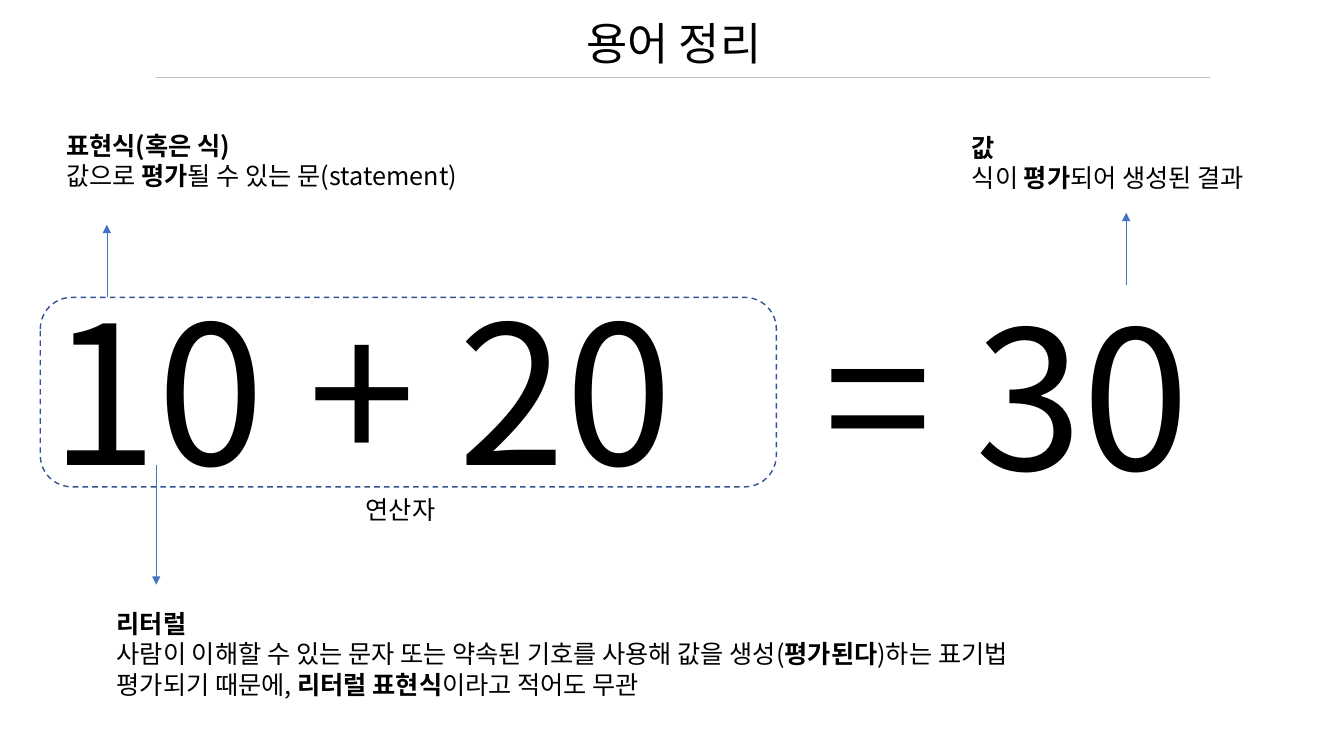
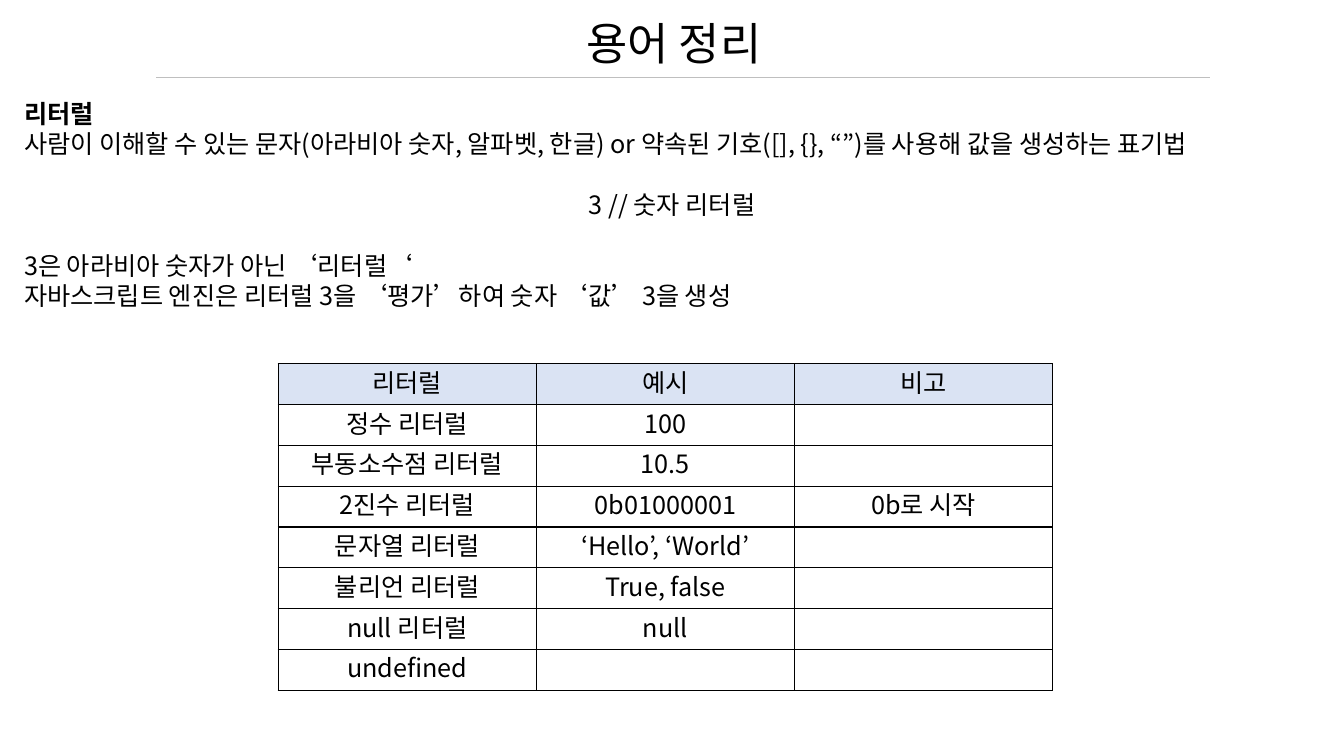
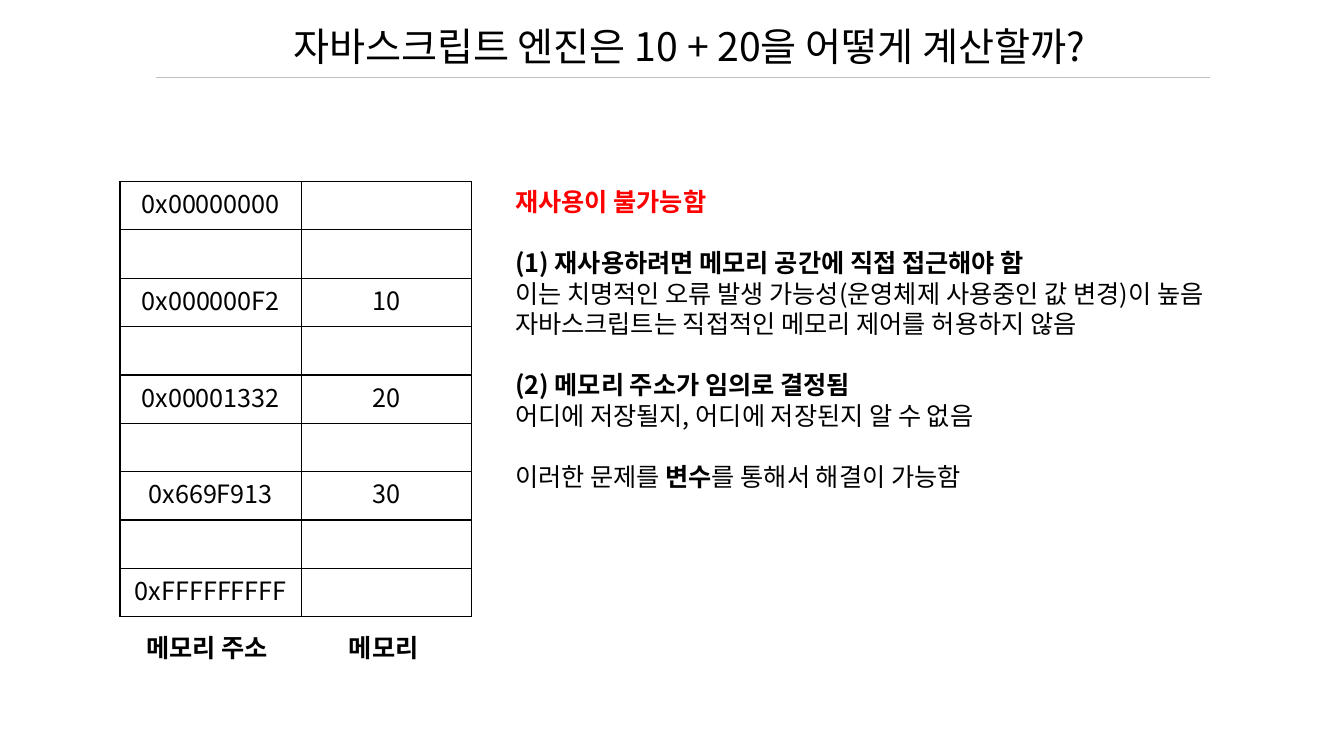
from dataclasses import dataclass

from lxml import etree
from pptx import Presentation
from pptx.dml.color import RGBColor
from pptx.enum.dml import MSO_LINE
from pptx.enum.shapes import MSO_CONNECTOR, MSO_SHAPE
from pptx.enum.text import MSO_ANCHOR, MSO_AUTO_SIZE, PP_ALIGN
from pptx.oxml.ns import qn
from pptx.util import Inches, Pt

LEFT, CENTER = PP_ALIGN.LEFT, PP_ALIGN.CENTER
TOP, MIDDLE = MSO_ANCHOR.TOP, MSO_ANCHOR.MIDDLE
DASH = MSO_LINE.DASH
STRAIGHT = MSO_CONNECTOR.STRAIGHT
ROUNDED = MSO_SHAPE.ROUNDED_RECTANGLE
FIT_SHAPE = MSO_AUTO_SIZE.SHAPE_TO_FIT_TEXT


@dataclass(frozen=True)
class Theme:
    font: str = "Noto Sans CJK KR"
    ink: str = "000000"
    paper: str = "FFFFFF"
    alert: str = "FF0000"
    rule: str = "BFBFBF"
    arrow: str = "4472C4"
    frame: str = "325491"
    header: str = "DAE3F3"
    body: int = 18
    title: int = 32
    long_title: int = 28
    formula: int = 138
    leading: float = 1.21
    thin: float = 0.5
    border: float = 1


THEME = Theme()
TITLE_ONLY = 5

# Content: text between ** marks is bold
TERMS_TITLE = "용어 정리"
TITLE_BOX = (1.37, 0.1, 10.63, 0.64)
ENGINE_TITLE = "자바스크립트 엔진은 10 + 20을 어떻게 계산할까?"
ENGINE_TITLE_BOX = (1.67, 0.17, 10.33, 0.57)
RULE = (1.55, 0.77, 12, 0.77)

FORMULA_PARTS = [
    ((0.4, 2.63, 7.59, 2.42), "10 + 20"),
    ((8.08, 2.68, 4.71, 2.42), "= 30"),
]
EXPRESSION_FRAME = (0.4, 2.95, 7.3, 1.88)
TERMS = [
    ((0.56, 1.24, 8.43, 0.71),
     ["**표현식(혹은 식)**", "값으로 **평가**될 수 있는 문(statement)"]),
    ((9.54, 1.26, 3.79, 0.71),
     ["**값**", "식이 **평가**되어 생성된 결과"]),
    ((3.53, 4.85, 1.04, 0.4), ["연산자"]),
    ((1.06, 5.98, 10.8, 1.01),
     ["**리터럴**",
      "사람이 이해할 수 있는 문자 또는 약속된 기호를 사용해 값을 생성(**평가된다**)하는 표기법",
      "평가되기 때문에, **리터럴 표현식**이라고 적어도 무관"]),
]
TERM_ARROWS = [
    (1.06, 2.95, 1.06, 2.23),
    (11.17, 2.83, 11.17, 2.11),
    (1.55, 4.61, 1.55, 5.8),
]

LITERAL_BOX = (0.14, 0.92, 13.05, 2.83)
LITERAL_TEXT = [
    "**리터럴**",
    "사람이 이해할 수 있는 문자(아라비아 숫자, 알파벳, 한글) or 약속된 기호([], {}, “”)를 사용해 값을 생성하는 표기법",
    {"text": "3 // 숫자 리터럴", "align": CENTER, "gap": True},
    {"text": "3은 아라비아 숫자가 아닌 ‘리터럴‘", "gap": True},
    "자바스크립트 엔진은 리터럴 3을 ‘평가’하여 숫자 ‘값’ 3을 생성",
]
LITERAL_TABLE = (2.76, 3.61, 7.68, 3.24)
LITERAL_COLUMNS = (2.56, 2.56, 2.56)
LITERAL_ROWS = [
    ("리터럴", "예시", "비고"),
    ("정수 리터럴", "100", ""),
    ("부동소수점 리터럴", "10.5", ""),
    ("2진수 리터럴", "0b01000001", "0b로 시작"),
    ("문자열 리터럴", "‘Hello’, ‘World’", ""),
    ("불리언 리터럴", "True, false", ""),
    ("null 리터럴", "null", ""),
    ("undefined", "", ""),
]

MEMORY_TABLE = (1.19, 1.8, 3.5, 4.32)
MEMORY_COLUMNS = (1.8, 1.69)
MEMORY_ROWS = [
    ("0x00000000", ""),
    ("", ""),
    ("0x000000F2", "10"),
    ("", ""),
    ("0x00001332", "20"),
    ("", ""),
    ("0x669F913", "30"),
    ("", ""),
    ("0xFFFFFFFFF", ""),
]
MEMORY_LABELS = [
    ((1.35, 6.22, 1.55, 0.41), ["**메모리 주소**"]),
    ((3.03, 6.22, 1.55, 0.41), [{"text": "**메모리**", "align": CENTER}]),
]
REUSE_BOX = (5.01, 1.8, 8.04, 3.13)
REUSE_TEXT = [
    {"text": "**재사용이 불가능함**", "color": THEME.alert},
    {"text": "**(1) 재사용하려면 메모리 공간에 직접 접근해야 함**", "gap": True},
    "이는 치명적인 오류 발생 가능성(운영체제 사용중인 값 변경)이 높음",
    "자바스크립트는 직접적인 메모리 제어를 허용하지 않음",
    {"text": "**(2) 메모리 주소가 임의로 결정됨**", "gap": True},
    "어디에 저장될지, 어디에 저장된지 알 수 없음",
    {"text": "이러한 문제를 **변수**를 통해서 해결이 가능함", "gap": True},
]


# Text
def write_paragraph(paragraph, text, size=THEME.body, align=LEFT,
                    color=THEME.ink, gap=False):
    line_height = Pt(size * THEME.leading)
    paragraph.alignment = align
    paragraph.line_spacing = line_height
    paragraph.space_before = line_height if gap else Pt(0)
    font = paragraph.font
    font.name = THEME.font
    font.size = Pt(size)
    font.color.rgb = RGBColor.from_string(color)
    defaults = paragraph._p.get_or_add_pPr().find(qn("a:defRPr"))
    east_asian = etree.SubElement(defaults, qn("a:ea"))
    east_asian.set("typeface", THEME.font)
    for index, part in enumerate(text.split("**")):
        if part:
            run = paragraph.add_run()
            run.text = part
            if index % 2:
                run.font.bold = True


def fill_frame(frame, paragraphs, **style):
    frame.word_wrap = True
    frame.auto_size = FIT_SHAPE
    frame.vertical_anchor = TOP
    for index, item in enumerate(paragraphs):
        paragraph = frame.add_paragraph() if index else frame.paragraphs[0]
        options = item if isinstance(item, dict) else {"text": item}
        write_paragraph(paragraph, **{**style, **options})


def add_text(slide, box, paragraphs, **style):
    shape = slide.shapes.add_textbox(*map(Inches, box))
    fill_frame(shape.text_frame, paragraphs, **style)


# Lines and tables
def add_line(slide, ends, color, arrow=False):
    connector = slide.shapes.add_connector(STRAIGHT, *map(Inches, ends))
    connector.line.color.rgb = RGBColor.from_string(color)
    connector.line.width = Pt(THEME.thin)
    properties = connector._element.spPr
    if arrow:
        head = etree.SubElement(properties.find(qn("a:ln")), qn("a:tailEnd"))
        head.set("type", "triangle")
    etree.SubElement(properties, qn("a:effectLst"))


def add_borders(cell):
    properties = cell._tc.get_or_add_tcPr()
    for side in ("lnL", "lnR", "lnT", "lnB"):
        border = etree.SubElement(properties, qn(f"a:{side}"))
        border.set("w", str(Pt(THEME.border)))
        fill = etree.SubElement(border, qn("a:solidFill"))
        etree.SubElement(fill, qn("a:srgbClr")).set("val", THEME.ink)


def add_grid(slide, box, widths, rows, header=False):
    table = slide.shapes.add_table(
        len(rows), len(widths), *map(Inches, box)).table
    table.first_row = table.horz_banding = False
    for column, width in zip(table.columns, widths):
        column.width = Inches(width)
    for row_index, texts in enumerate(rows):
        table.rows[row_index].height = Inches(box[3] / len(rows))
        color = THEME.header if header and row_index == 0 else THEME.paper
        for column_index, text in enumerate(texts):
            cell = table.cell(row_index, column_index)
            cell.vertical_anchor = MIDDLE
            add_borders(cell)
            cell.fill.solid()
            cell.fill.fore_color.rgb = RGBColor.from_string(color)
            write_paragraph(cell.text_frame.paragraphs[0], text, align=CENTER)


# Shared slide: title above a thin rule
def add_titled_slide(presentation, title, box, size):
    slide = presentation.slides.add_slide(
        presentation.slide_layouts[TITLE_ONLY])
    add_line(slide, RULE, THEME.rule)
    shape = slide.shapes.title
    shape.left, shape.top, shape.width, shape.height = map(Inches, box)
    fill_frame(shape.text_frame, [title], size=size, align=CENTER)
    return slide


presentation = Presentation()
presentation.slide_width = Inches(13.33)
presentation.slide_height = Inches(7.5)

# Slide 1: terms around the formula
slide = add_titled_slide(presentation, TERMS_TITLE, TITLE_BOX, THEME.title)
for box, text in FORMULA_PARTS:
    add_text(slide, box, [text], size=THEME.formula)
frame = slide.shapes.add_shape(ROUNDED, *map(Inches, EXPRESSION_FRAME))
frame.shadow.inherit = False
frame.fill.background()
frame.line.color.rgb = RGBColor.from_string(THEME.frame)
frame.line.width = Pt(THEME.border)
frame.line.dash_style = DASH
for box, paragraphs in TERMS:
    add_text(slide, box, paragraphs)
for ends in TERM_ARROWS:
    add_line(slide, ends, THEME.arrow, arrow=True)

# Slide 2: kinds of literal
slide = add_titled_slide(presentation, TERMS_TITLE, TITLE_BOX, THEME.title)
add_text(slide, LITERAL_BOX, LITERAL_TEXT)
add_grid(slide, LITERAL_TABLE, LITERAL_COLUMNS, LITERAL_ROWS, header=True)

# Slide 3: memory and reuse
slide = add_titled_slide(presentation, ENGINE_TITLE, ENGINE_TITLE_BOX,
                         THEME.long_title)
add_grid(slide, MEMORY_TABLE, MEMORY_COLUMNS, MEMORY_ROWS)
for box, paragraphs in MEMORY_LABELS:
    add_text(slide, box, paragraphs)
add_text(slide, REUSE_BOX, REUSE_TEXT)

presentation.save("out.pptx")
